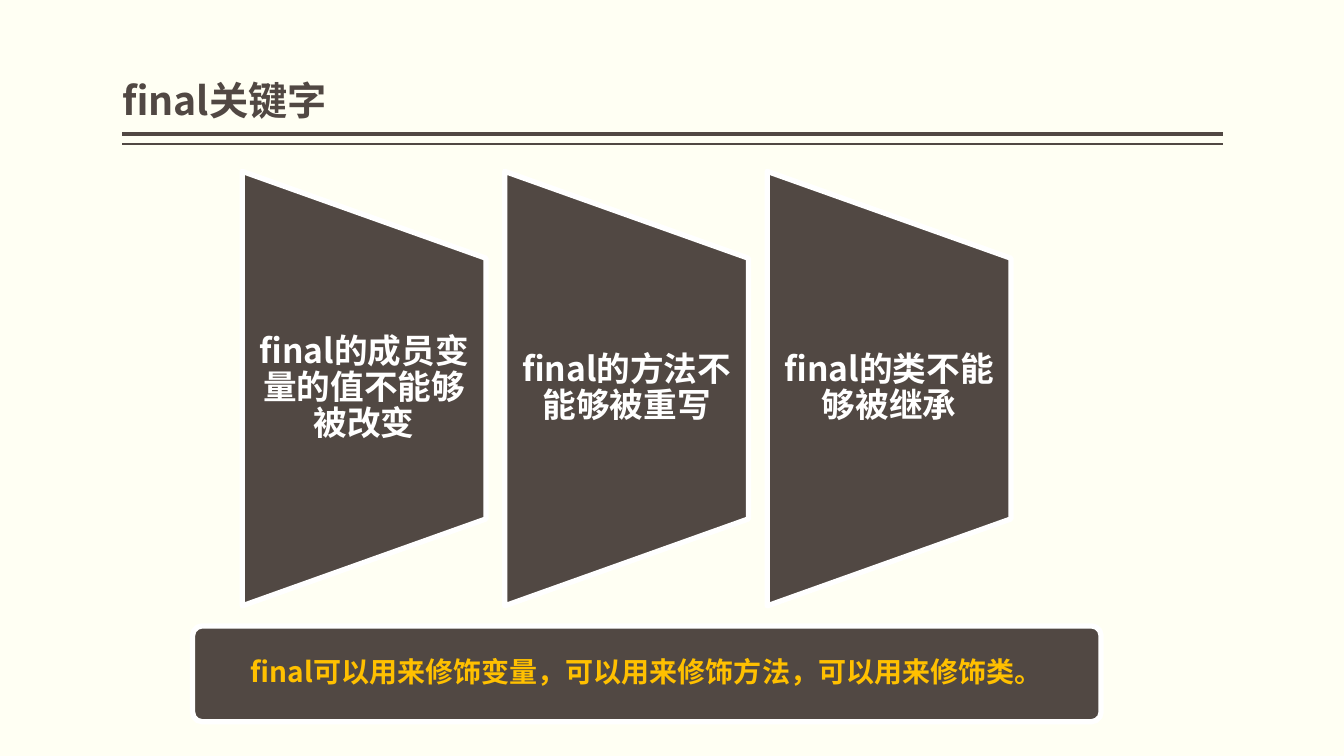
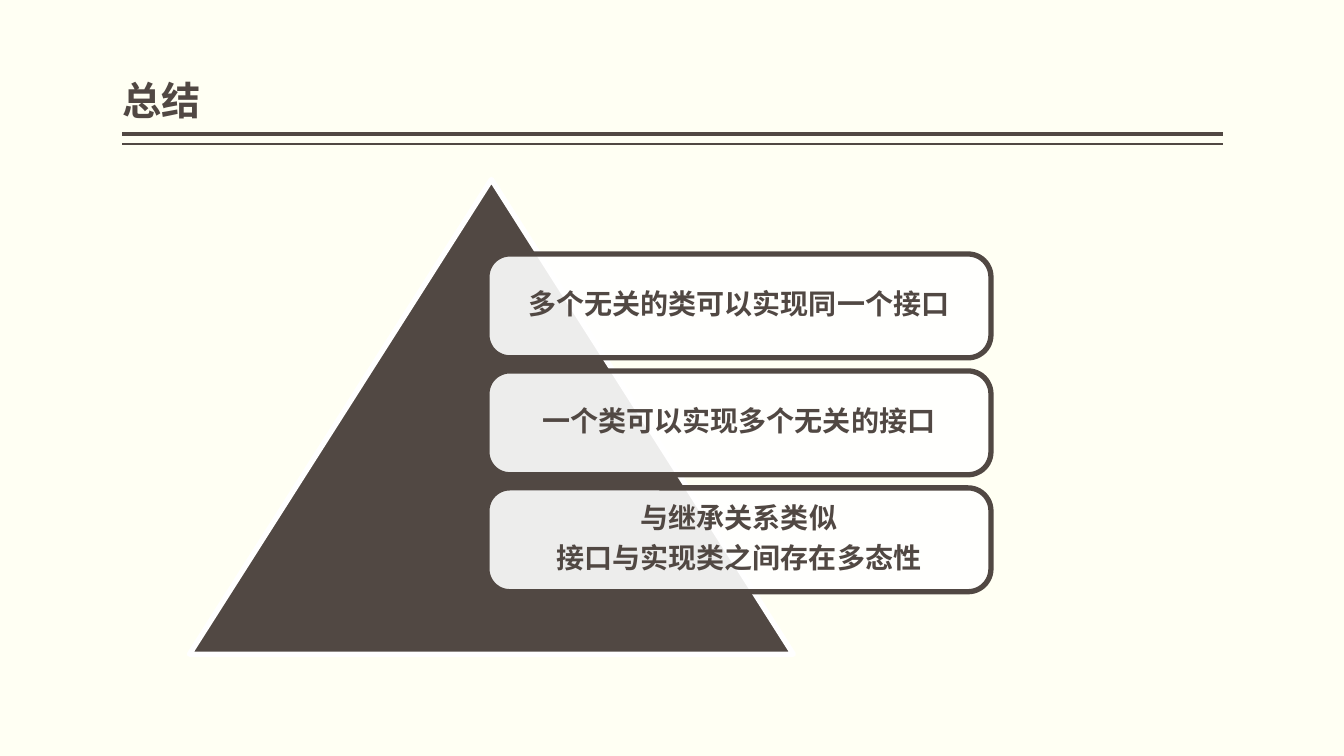
from pptx import Presentation
from pptx.dml.color import RGBColor
from pptx.enum.shapes import MSO_CONNECTOR, MSO_SHAPE
from pptx.enum.text import MSO_ANCHOR, MSO_AUTO_SIZE, PP_ALIGN
from pptx.oxml.ns import qn
from pptx.util import Inches, Pt
from lxml.etree import SubElement

FONT = "Noto Sans CJK SC"
DARK, WHITE, CREAM, GOLD = "514843", "FFFFFF", "FFFFF3", "FFC000"


def rgb(code):
    return RGBColor.from_string(code)


class Deck:
    """Holds the style and the current slide; lengths are percent of its size."""

    def __init__(self):
        self.prs = Presentation()
        self.prs.slide_width = Inches(13.33)
        self.prs.slide_height = Inches(7.5)
        back = self.prs.slide_master.background.fill
        back.solid()
        back.fore_color.rgb = rgb(CREAM)

    def x(self, part):
        return round(self.prs.slide_width * part / 100)

    def y(self, part):
        return round(self.prs.slide_height * part / 100)

    def area(self, left, top, width, height):
        return self.x(left), self.y(top), self.x(width), self.y(height)

    def page(self, title):
        self.slide = self.prs.slides.add_slide(self.prs.slide_layouts[5])
        self.shapes = self.slide.shapes
        self.rule(17.73, 3)
        self.rule(19.07, 1)
        head = self.shapes.title
        head.left, head.top, head.width, head.height = self.area(9.1, 1.07, 81.9, 16)
        self.label(head, [title], 28, DARK, (0, 0.05), PP_ALIGN.LEFT)
        head.text_frame.vertical_anchor = MSO_ANCHOR.BOTTOM

    def rule(self, top, width):
        line = self.shapes.add_connector(
            MSO_CONNECTOR.STRAIGHT, self.x(9.1), self.y(top), self.x(91), self.y(top))
        line.line.color.rgb = rgb(DARK)
        line.line.width = Pt(width)
        SubElement(line._element.spPr, qn("a:effectLst"))

    def label(self, shape, lines, size, color, inset, align=PP_ALIGN.CENTER):
        """Fill the shape with one paragraph per line; inset is (side, top) in inches."""
        frame = shape.text_frame
        frame.word_wrap = True
        frame.auto_size = MSO_AUTO_SIZE.NONE
        frame.vertical_anchor = MSO_ANCHOR.MIDDLE
        frame.margin_left = frame.margin_right = Inches(inset[0])
        frame.margin_top = frame.margin_bottom = Inches(inset[1])
        frame.text = "\n".join(lines)
        for para in frame.paragraphs:
            para.alignment = align
            para.line_spacing = 0.9
            if len(lines) > 1:
                para.space_after = Pt(0.35 * size)
            font = para.font
            font.name, font.size, font.bold = FONT, Pt(size), True
            font.color.rgb = rgb(color)
            SubElement(font._element, qn("a:ea"), typeface=FONT)

    def paint(self, shape, fill, edge, alpha=100):
        shape.shadow.inherit = False
        shape.fill.solid()
        shape.fill.fore_color.rgb = rgb(fill)
        if alpha < 100:
            tint = shape._element.spPr.find(".//" + qn("a:srgbClr"))
            SubElement(tint, qn("a:alpha"), val=str(alpha * 1000))
        shape.line.color.rgb = rgb(edge)
        shape.line.width = Pt(3.78)

    def funnel(self, left, top, width, height, text):
        """Draw a block whose right side is three fifths as tall as its left."""
        right, slope = left + width, height / 5
        low = top + height
        pen = self.shapes.build_freeform(self.x(left), self.y(low))
        pen.add_line_segments([
            (self.x(left), self.y(top)),
            (self.x(right), self.y(top + slope)),
            (self.x(right), self.y(low - slope))])
        block = pen.convert_to_shape()
        self.paint(block, DARK, WHITE)
        self.label(block, [text], 24, WHITE, (0.17, 0.86))

    def triangle(self, *area):
        shape = self.shapes.add_shape(MSO_SHAPE.ISOSCELES_TRIANGLE, *self.area(*area))
        self.paint(shape, DARK, WHITE)

    def card(self, area, lines, fill, edge, color, curve, alpha=100):
        shape = self.shapes.add_shape(MSO_SHAPE.ROUNDED_RECTANGLE, *self.area(*area))
        shape.adjustments[0] = curve
        self.paint(shape, fill, edge, alpha)
        self.label(shape, lines, 20, color, (0.08, 0.08))


def main():
    deck = Deck()

    deck.page("final关键字")
    rules = ["final的成员变量的值不能够被改变", "final的方法不能够被重写", "final的类不能够被继承"]
    for col, text in enumerate(rules):
        deck.funnel(18.03 + 19.53 * col, 22.67, 18.13, 57.47, text)
    deck.card((14.33, 82.8, 67.6, 12.67),
              ["final可以用来修饰变量，可以用来修饰方法，可以用来修饰类。"],
              DARK, WHITE, GOLD, 0.1)

    deck.page("总结")
    deck.triangle(14.1, 23.73, 44.93, 62.8)
    points = [
        ["多个无关的类可以实现同一个接口"],
        ["一个类可以实现多个无关的接口"],
        ["与继承关系类似", "接口与实现类之间存在多态性"],
    ]
    for row, lines in enumerate(points):
        deck.card((36.23, 33.6 + 15.47 * row, 37.5, 13.73), lines,
                  WHITE, DARK, DARK, 0.22, alpha=90)

    deck.prs.save("out.pptx")


if __name__ == "__main__":
    main()
